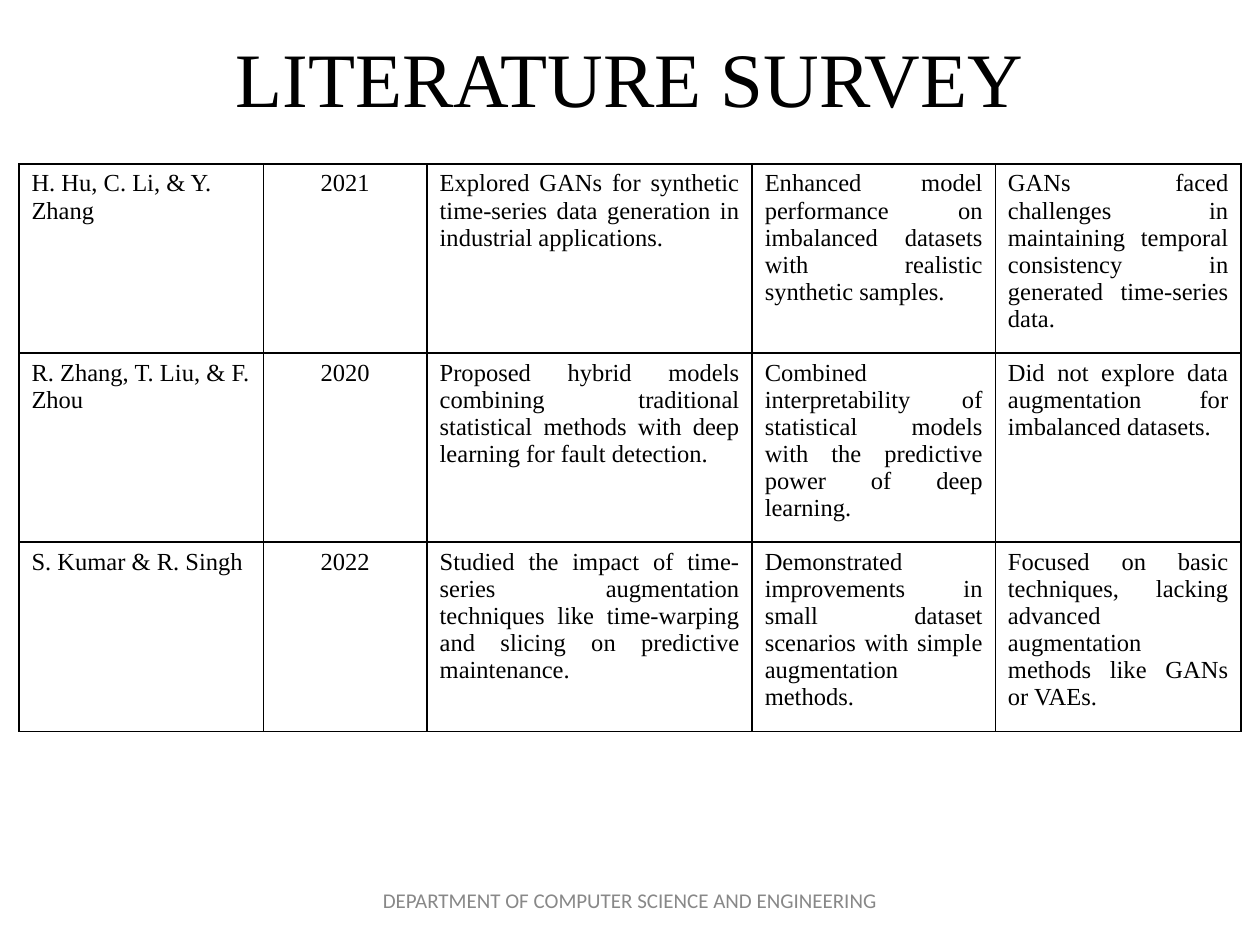
from lxml.etree import SubElement
from pptx import Presentation
from pptx.dml.color import RGBColor
from pptx.enum.text import MSO_ANCHOR, PP_ALIGN
from pptx.oxml.ns import qn
from pptx.util import Inches, Pt

COLORS = {"text": "000000", "footer": "888888", "cell": "FFFFFF", "border": "000000"}
SERIF = "Times New Roman"

COLUMN_WIDTHS = [1.94, 1.3, 2.58, 1.93, 1.95]
COLUMN_ALIGNS = [PP_ALIGN.LEFT, PP_ALIGN.CENTER] + [PP_ALIGN.JUSTIFY] * 3
ROW_HEIGHT = 1.39

# Authors, year, contribution, strength, limitation
STUDIES = [
    ("H. Hu, C. Li, & Y. Zhang", "2021",
     "Explored GANs for synthetic time-series data generation in industrial applications.",
     "Enhanced model performance on imbalanced datasets with realistic synthetic samples.",
     "GANs faced challenges in maintaining temporal consistency in generated time-series data."),
    ("R. Zhang, T. Liu, & F. Zhou", "2020",
     "Proposed hybrid models combining traditional statistical methods with deep learning "
     "for fault detection.",
     "Combined interpretability of statistical models with the predictive power of deep learning.",
     "Did not explore data augmentation for imbalanced datasets."),
    ("S. Kumar & R. Singh", "2022",
     "Studied the impact of time-series augmentation techniques like time-warping and slicing "
     "on predictive maintenance.",
     "Demonstrated improvements in small dataset scenarios with simple augmentation methods.",
     "Focused on basic techniques, lacking advanced augmentation methods like GANs or VAEs."),
]


def write_text(frame, text, size, font, color, align):
    frame.text = text
    frame.word_wrap = True
    paragraph = frame.paragraphs[0]
    paragraph.alignment = align
    run_font = paragraph.runs[0].font
    run_font.size = Pt(size)
    run_font.name = font
    run_font.color.rgb = RGBColor.from_string(COLORS[color])


def add_title(slide, text):
    title = slide.shapes.title
    title.left, title.top = Inches(0.5), Inches(-0.02)
    title.width, title.height = Inches(9), Inches(1.25)
    write_text(title.text_frame, text, 44, SERIF, "text", PP_ALIGN.CENTER)
    title.text_frame.vertical_anchor = MSO_ANCHOR.MIDDLE


def add_footer(slide, text):
    footer = slide.shapes.add_textbox(Inches(0.5), Inches(6.95), Inches(9), Inches(0.38))
    write_text(footer.text_frame, text, 12, "Calibri", "footer", PP_ALIGN.CENTER)
    footer.text_frame.vertical_anchor = MSO_ANCHOR.MIDDLE


def set_borders(cell):
    properties = cell._tc.get_or_add_tcPr()
    for side in ("a:lnL", "a:lnR", "a:lnT", "a:lnB"):
        line = SubElement(properties, qn(side), w=str(Pt(1)))
        line_fill = SubElement(line, qn("a:solidFill"))
        SubElement(line_fill, qn("a:srgbClr"), val=COLORS["border"])


def add_survey_table(slide, studies):
    survey = slide.shapes.add_table(
        len(studies), len(COLUMN_WIDTHS), Inches(0.15), Inches(1.3),
        Inches(sum(COLUMN_WIDTHS)), Inches(ROW_HEIGHT * len(studies))).table
    survey.first_row = False
    survey.horz_banding = False
    for column, width in zip(survey.columns, COLUMN_WIDTHS):
        column.width = Inches(width)
    for row, study in zip(survey.rows, studies):
        row.height = Inches(ROW_HEIGHT)
        for cell, text, align in zip(row.cells, study, COLUMN_ALIGNS):
            write_text(cell.text_frame, text, 14, SERIF, "text", align)
            # Borders come before the fill in the cell properties
            set_borders(cell)
            cell.fill.solid()
            cell.fill.fore_color.rgb = RGBColor.from_string(COLORS["cell"])


def main():
    presentation = Presentation()
    presentation.slide_width, presentation.slide_height = Inches(10), Inches(7.5)
    slide = presentation.slides.add_slide(presentation.slide_layouts[5])
    add_title(slide, "LITERATURE SURVEY")
    add_footer(slide, "DEPARTMENT OF COMPUTER SCIENCE AND ENGINEERING")
    add_survey_table(slide, STUDIES)
    presentation.save("out.pptx")


if __name__ == "__main__":
    main()
